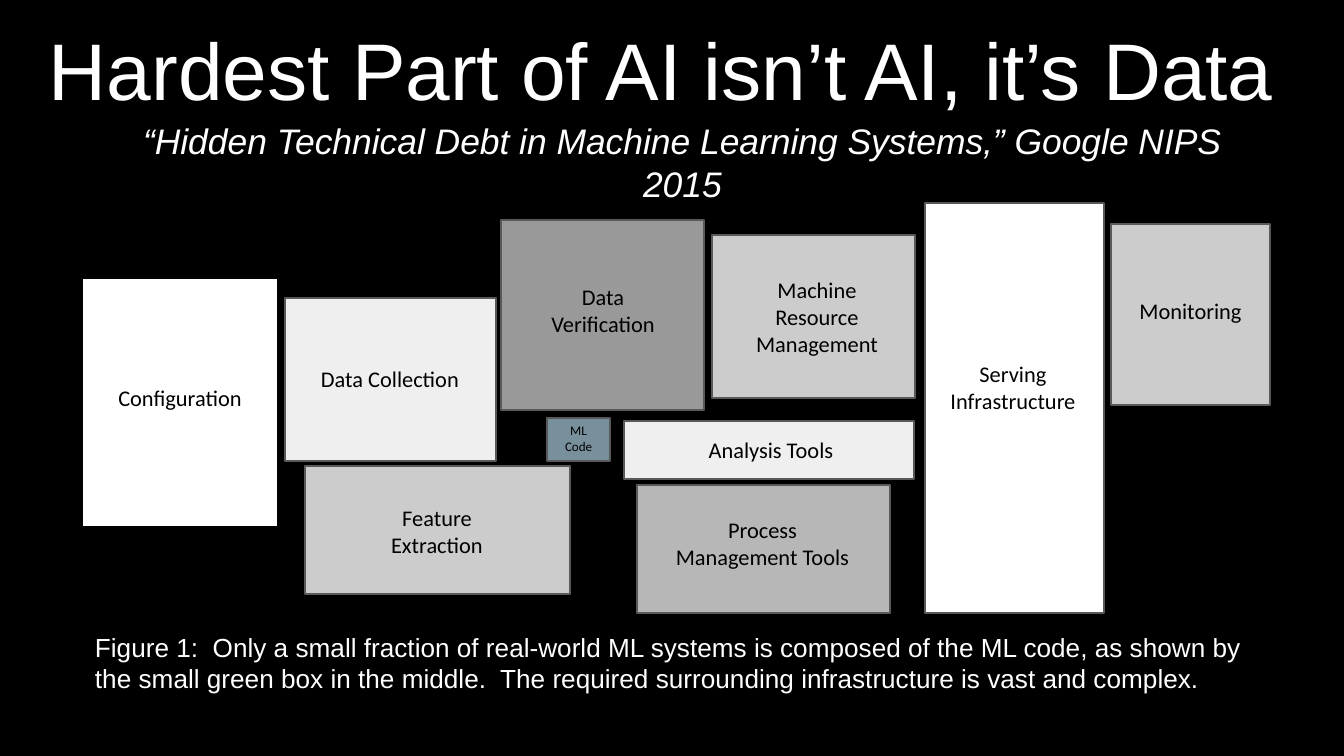
"""Build the slide on the components around a machine learning system."""
from pptx import Presentation
from pptx.dml.color import RGBColor
from pptx.enum.shapes import MSO_SHAPE as SHAPE
from pptx.enum.text import MSO_ANCHOR as ANCHOR, PP_ALIGN as ALIGN
from pptx.util import Pt

PX = 914400 / 134.4
WIDTH, HEIGHT = 1344, 756
COLORS = {
    "black": "000000", "white": "FFFFFF", "pale": "EFEFEF", "light": "CCCCCC",
    "mid": "B7B7B7", "dark": "999999", "slate": "78909C", "edge": "595959",
}
TOP, MIDDLE = ANCHOR.TOP, ANCHOR.MIDDLE

TITLE = "Hardest Part of AI isn’t AI, it’s Data"
SUBTITLE = "“Hidden Technical Debt in Machine Learning Systems,” Google NIPS 2015"
CAPTION = (
    "Figure 1:  Only a small fraction of real-world ML systems is composed of "
    "the ML code, as shown by the small green box in the middle.  The required "
    "surrounding infrastructure is vast and complex."
)
COMPONENTS = [
    ("Configuration", "white", "black", (82, 278, 196, 249), (94, 371, 172, 65), TOP, 12),
    ("Data Collection", "pale", "edge", (285, 298, 211, 163), (294, 352, 192, 65), TOP, 12),
    ("Feature Extraction", "light", "edge", (305, 466, 265, 128), (351, 499, 172, 65), MIDDLE, 12),
    ("Data\nVerification", "dark", "edge", (501, 220, 203, 190), (517, 270, 172, 65), TOP, 12),
    ("ML\nCode", "slate", "edge", (547, 418, 63, 43), (547, 426, 63, 24), MIDDLE, 7),
    ("Analysis Tools", "pale", "edge", (624, 421, 290, 58), (626, 421, 290, 58), MIDDLE, 12),
    ("Process\nManagement Tools", "mid", "edge", (637, 485, 253, 128), (637, 503, 251, 65), TOP, 12),
    ("Machine Resource Management", "light", "edge", (712, 235, 203, 163), (731, 263, 172, 65), TOP, 12),
    ("Serving\nInfrastructure", "white", "edge", (925, 203, 179, 410), (927, 347, 172, 65), TOP, 12),
    ("Monitoring", "light", "edge", (1111, 224, 159, 181), (1111, 284, 159, 65), TOP, 12),
]


def emu(*lengths):
    return [round(n * PX) for n in lengths]


def rgb(name):
    return RGBColor.from_string(COLORS[name])


def add_box(s, box, fill, line):
    sp = s.shapes.add_shape(SHAPE.RECTANGLE, *emu(*box))
    sp.shadow.inherit = False
    sp.fill.solid()
    sp.fill.fore_color.rgb = rgb(fill)
    sp.line.color.rgb = rgb(line)
    sp.line.width = Pt(0.75)


def add_text(s, text, box, size, color="white", font="Arial", anchor=TOP,
             align=ALIGN.CENTER, inset=13, italic=False, spacing=1.0):
    tf = s.shapes.add_textbox(*emu(*box)).text_frame
    tf.word_wrap = True
    tf.vertical_anchor = anchor
    (tf.margin_left, tf.margin_top,
     tf.margin_right, tf.margin_bottom) = emu(*[inset] * 4)
    tf.text = text
    for p in tf.paragraphs:
        p.alignment = align
        p.line_spacing = spacing
        for r in p.runs:
            r.font.name = font
            r.font.size = Pt(size)
            r.font.italic = italic
            r.font.color.rgb = rgb(color)


def main():
    prs = Presentation()
    prs.slide_width, prs.slide_height = emu(WIDTH, HEIGHT)
    s = prs.slides.add_slide(prs.slide_layouts[6])
    s.background.fill.solid()
    s.background.fill.fore_color.rgb = rgb("black")

    add_text(s, TITLE, (39, 28, 1296, 94), 43, anchor=MIDDLE,
             align=ALIGN.LEFT, inset=10, spacing=0.9)
    for _, fill, line, box, *_ in COMPONENTS:
        add_box(s, box, fill, line)
    for label, _, _, _, box, anchor, size in COMPONENTS:
        add_text(s, label, box, size, "black", "Calibri", anchor)
    add_text(s, SUBTITLE, (86, 145, 1193, 34), 19, anchor=MIDDLE, italic=True)
    add_text(s, CAPTION, (82, 618, 1179, 85), 14, align=ALIGN.LEFT)
    prs.save("out.pptx")


if __name__ == "__main__":
    main()
